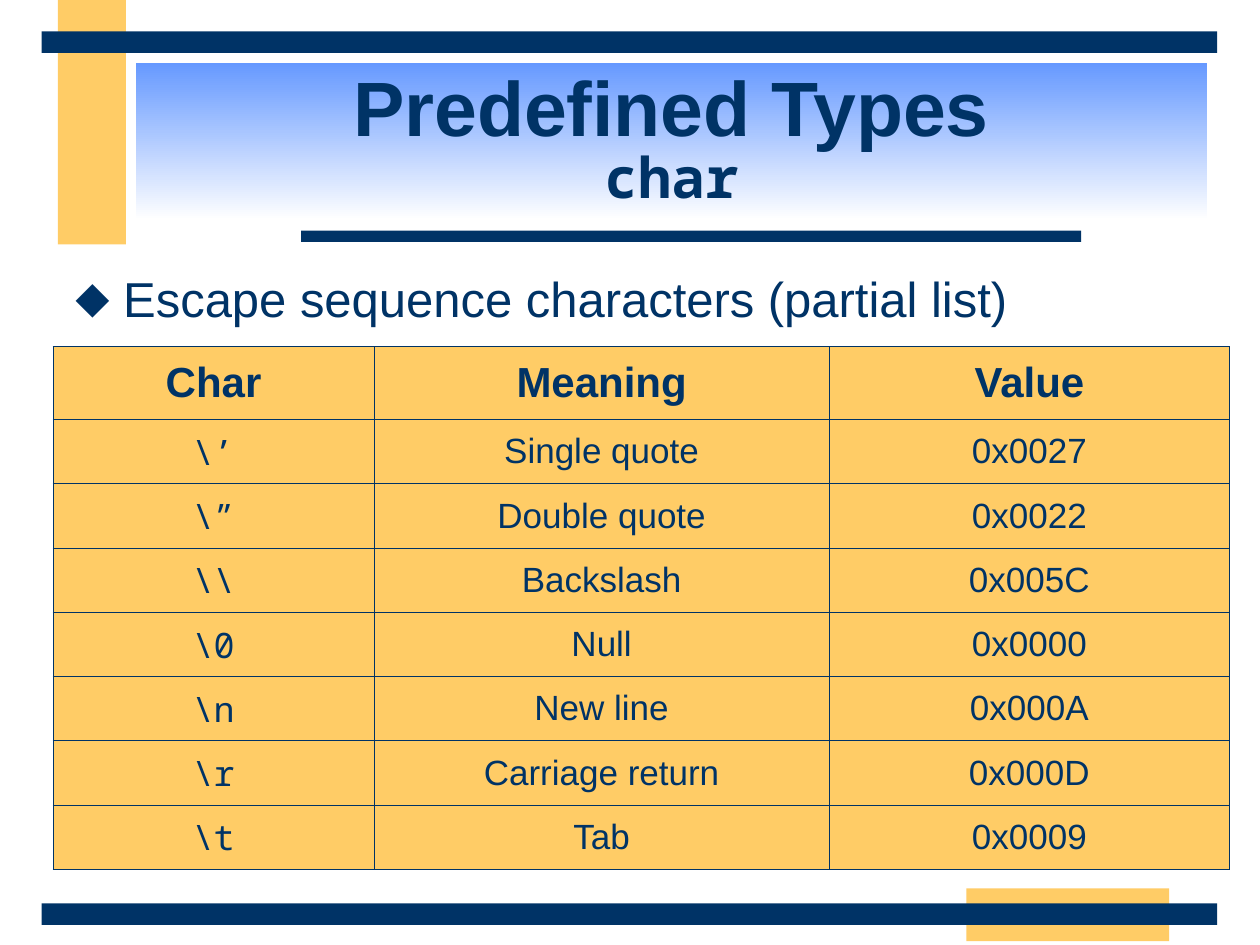
"""Build a slide that lists the escape sequences of the char type."""
import dataclasses

import lxml.etree
import pptx
import pptx.dml.color
import pptx.enum.shapes
import pptx.enum.text
import pptx.oxml.ns
import pptx.util

Inches = pptx.util.Inches
Pt = pptx.util.Pt
Align = pptx.enum.text.PP_ALIGN
Anchor = pptx.enum.text.MSO_ANCHOR
qn = pptx.oxml.ns.qn


@dataclasses.dataclass(frozen=True)
class Theme:
    navy: str = "003366"
    gold: str = "FFCC66"
    blue: str = "6699FF"
    white: str = "FFFFFF"
    sans: str = "Arial"
    mono: str = "Noto Sans Mono"
    title: int = 44
    sub: int = 32
    body: int = 28
    head: int = 24
    cell: int = 20
    rule: float = 0.45


THEME = Theme()

BARS = [
    (0.46, 0, 0.54, 1.94, THEME.gold),
    (7.67, 7.05, 1.61, 0.42, THEME.gold),
    (2.39, 1.83, 6.19, 0.09, THEME.navy),
    (0.33, 7.17, 9.33, 0.17, THEME.navy),
    (0.33, 0.25, 9.33, 0.17, THEME.navy),
]

ROWS = [
    ("Char", "Meaning", "Value"),
    ("\\’", "Single quote", "0x0027"),
    ("\\”", "Double quote", "0x0022"),
    ("\\\\", "Backslash", "0x005C"),
    ("\\0", "Null", "0x0000"),
    ("\\n", "New line", "0x000A"),
    ("\\r", "Carriage return", "0x000D"),
    ("\\t", "Tab", "0x0009"),
]
COLS = (2.55, 3.61, 3.18)


def color(code):
    return pptx.dml.color.RGBColor.from_string(code)


def paint(fill, code):
    fill.solid()
    fill.fore_color.rgb = color(code)


def add_run(para, text, size, face=THEME.sans, bold=False):
    run = para.add_run()
    run.text = text
    run.font.size = Pt(size)
    run.font.name = face
    run.font.bold = bold
    run.font.color.rgb = color(THEME.navy)


def add_box(slide, left, top, width, height):
    box = slide.shapes.add_shape(
        pptx.enum.shapes.MSO_SHAPE.RECTANGLE,
        Inches(left), Inches(top), Inches(width), Inches(height))
    box.shadow.inherit = False
    box.line.fill.background()
    return box


def add_bar(slide, left, top, width, height, code):
    paint(add_box(slide, left, top, width, height).fill, code)


def add_title(slide, title, sub):
    box = add_box(slide, 1.08, 0.5, 8.5, 1.25)
    box.fill.gradient()
    box.fill.gradient_angle = 270
    for stop, code in zip(box.fill.gradient_stops, (THEME.blue, THEME.white)):
        stop.color.rgb = color(code)
    frame = box.text_frame
    frame.word_wrap = True
    frame.vertical_anchor = Anchor.MIDDLE
    para = frame.paragraphs[0]
    para.alignment = Align.CENTER
    para.line_spacing = 0.85
    add_run(para, title, THEME.title, bold=True)
    para.add_line_break()
    add_run(para, sub, THEME.sub, THEME.mono, True)


def add_bullet(para, mark):
    props = para._p.get_or_add_pPr()
    props.set("marL", str(Inches(0.38)))
    props.set("indent", str(-Inches(0.38)))
    tint = lxml.etree.SubElement(props, qn("a:buClr"))
    lxml.etree.SubElement(tint, qn("a:srgbClr"), val=THEME.navy)
    lxml.etree.SubElement(props, qn("a:buFont"), typeface=THEME.sans)
    lxml.etree.SubElement(props, qn("a:buChar"), char=mark)


def add_body(slide, text):
    box = slide.shapes.add_textbox(
        Inches(0.5), Inches(2.08), Inches(9), Inches(4.92))
    box.text_frame.word_wrap = True
    para = box.text_frame.paragraphs[0]
    add_bullet(para, "⬥")
    add_run(para, text, THEME.body)


def add_edges(cell):
    props = cell._tc.get_or_add_tcPr()
    for spot, side in enumerate(("lnL", "lnR", "lnT", "lnB")):
        line = lxml.etree.Element(qn(f"a:{side}"), w=str(Pt(THEME.rule)))
        fill = lxml.etree.SubElement(line, qn("a:solidFill"))
        lxml.etree.SubElement(fill, qn("a:srgbClr"), val=THEME.navy)
        props.insert(spot, line)


def fill_cell(cell, text, size, face, bold):
    paint(cell.fill, THEME.gold)
    add_edges(cell)
    cell.vertical_anchor = Anchor.MIDDLE
    para = cell.text_frame.paragraphs[0]
    para.alignment = Align.CENTER
    add_run(para, text, size, face, bold)


def add_grid(slide):
    table = slide.shapes.add_table(
        len(ROWS), len(COLS),
        Inches(0.42), Inches(2.75), Inches(9.33), Inches(4.16)).table
    table.first_row = False
    table.horz_banding = False
    for col, width in zip(table.columns, COLS):
        col.width = Inches(width)
    for r, texts in enumerate(ROWS):
        head = r == 0
        table.rows[r].height = Inches(0.58 if head else 0.51)
        for c, text in enumerate(texts):
            face = THEME.mono if c == 0 and not head else THEME.sans
            size = THEME.head if head else THEME.cell
            fill_cell(table.cell(r, c), text, size, face, head)


def main():
    deck = pptx.Presentation()
    deck.slide_width = Inches(10)
    deck.slide_height = Inches(7.5)
    slide = deck.slides.add_slide(deck.slide_layouts[6])
    for bar in BARS:
        add_bar(slide, *bar)
    add_title(slide, "Predefined Types", "char")
    add_body(slide, "Escape sequence characters (partial list)")
    add_grid(slide)
    deck.save("out.pptx")


if __name__ == "__main__":
    main()
